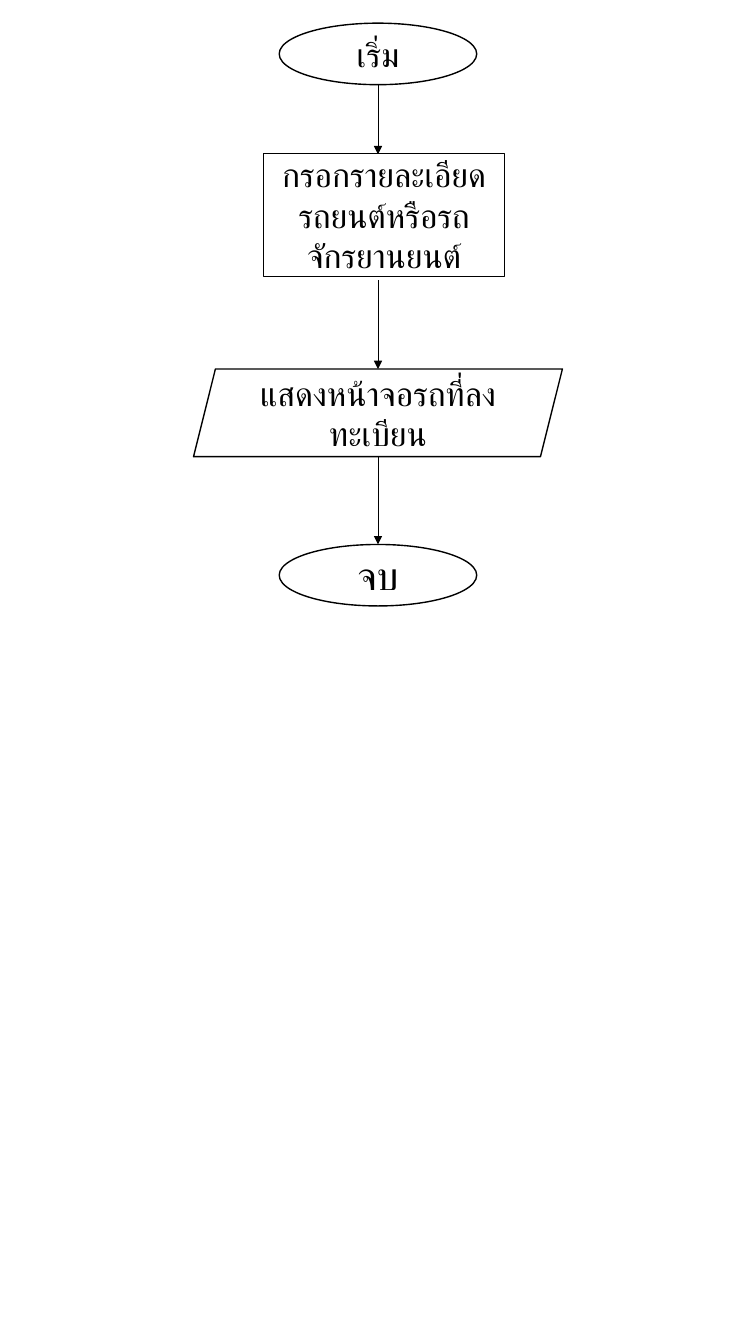
from pptx import Presentation
from pptx.dml.color import RGBColor
from pptx.enum.shapes import MSO_CONNECTOR, MSO_SHAPE
from pptx.enum.text import MSO_ANCHOR, PP_ALIGN
from pptx.oxml.ns import qn
from pptx.util import Inches, Pt
from lxml.etree import SubElement

HUES = {"ink": "000000", "paper": "FFFFFF"}
INK = RGBColor.from_string(HUES["ink"])
PAPER = RGBColor.from_string(HUES["paper"])
MID = 3.75

deck = Presentation()
deck.slide_width, deck.slide_height = Inches(7.5), Inches(13.33)
slide = deck.slides.add_slide(deck.slide_layouts[6])

# Arrows down the centre line: start and end heights
for top, end in [(0.84, 1.53), (2.78, 3.66), (4.53, 5.4)]:
    arrow = slide.shapes.add_connector(
        MSO_CONNECTOR.STRAIGHT, Inches(MID), Inches(top), Inches(MID), Inches(end))
    arrow.line.width = Pt(0.5)
    arrow.line.color.rgb = INK
    SubElement(arrow.line._get_or_add_ln(), qn("a:tailEnd"), type="triangle")
    SubElement(arrow._element.spPr, qn("a:effectLst"))

# Flow steps: shape, centre, top, width, height, text size, text
steps = [
    (MSO_SHAPE.OVAL, MID, 0.23, 1.96, 0.61, 24, "เริ่ม"),
    (MSO_SHAPE.PARALLELOGRAM, MID, 3.66, 3.66, 0.87, 24, "แสดงหน้าจอรถที่ลงทะเบียน"),
    (MSO_SHAPE.OVAL, MID, 5.4, 1.96, 0.61, 28, "จบ"),
    (MSO_SHAPE.RECTANGLE, 3.81, 1.52, 2.39, 1.22, 24,
     "กรอกรายละเอียดรถยนต์หรือรถจักรยานยนต์"),
]
frame_style = {"word_wrap": True, "vertical_anchor": MSO_ANCHOR.MIDDLE}
font_style = {"name": "Roboto"}

for kind, mid, top, wide, high, size, text in steps:
    step = slide.shapes.add_shape(
        kind, Inches(mid - wide / 2), Inches(top), Inches(wide), Inches(high))
    step.shadow.inherit = False
    step.fill.solid()
    step.fill.fore_color.rgb = PAPER
    step.line.color.rgb = INK
    step.line.width = Pt(1)

    # Step text
    frame = step.text_frame
    para = frame.paragraphs[0]
    para.alignment = PP_ALIGN.CENTER
    run = para.add_run()
    run.text = text
    run.font.color.rgb = INK
    for part, style in [(frame, frame_style), (run.font, {**font_style, "size": Pt(size)})]:
        for key, value in style.items():
            setattr(part, key, value)

deck.save("out.pptx")
